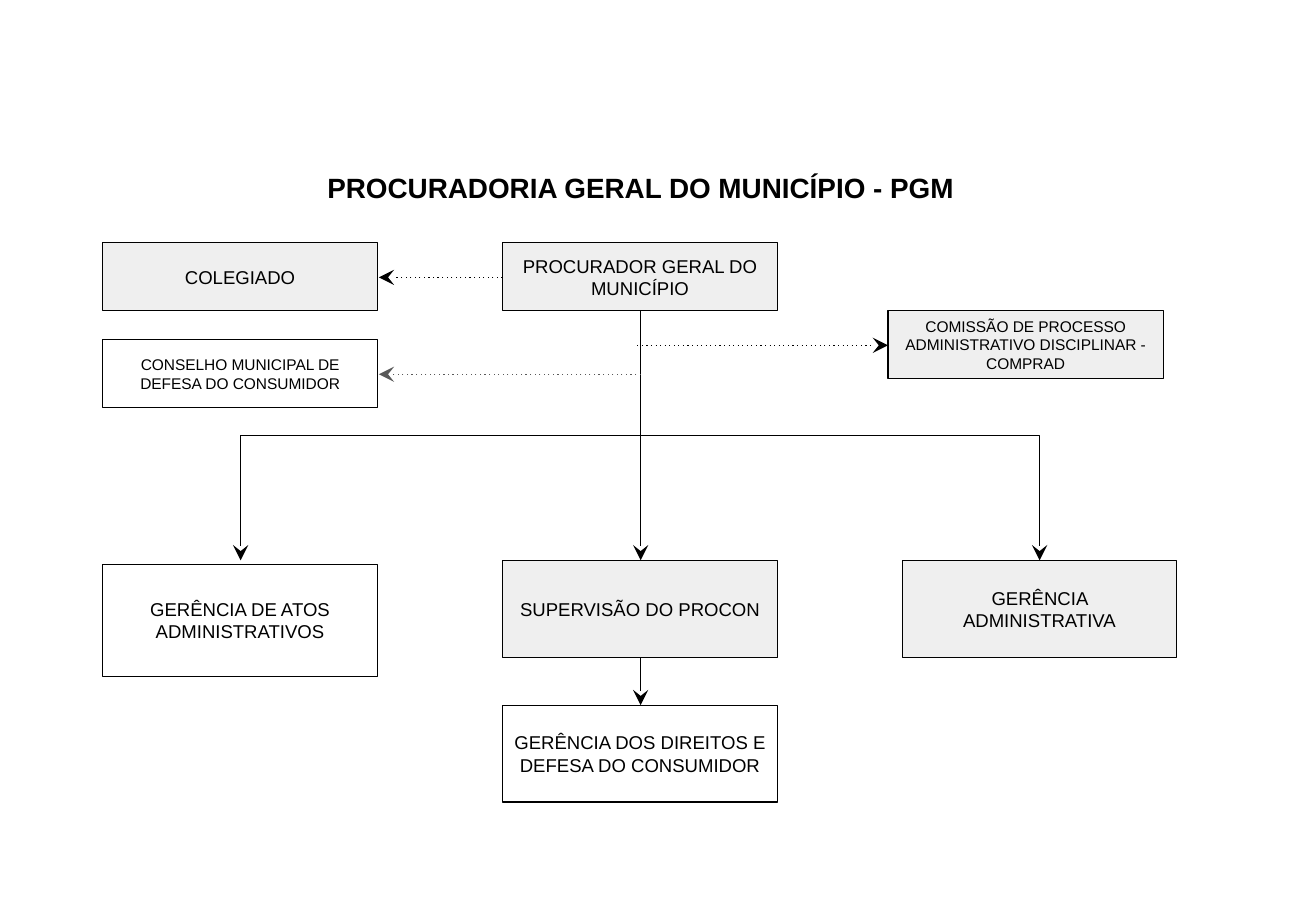
from pptx import Presentation
from pptx.dml.color import RGBColor
from pptx.enum import shapes, text
from pptx.oxml.xmlchemy import OxmlElement
from pptx.util import Inches, Pt

COLORS = {"black": "000000", "gray": "595959", "light": "EFEFEF"}
MM_PER_INCH = 25.4
BOX_W = 2.47
LEFT, MIDDLE, RIGHT = 0.92, 4.51, 8.1
TRUNK = 5.75
TOP, TOP_H, LOW, LOW_H = 2.18, 0.61, 5.03, 0.87

BOXES = [
    ("PROCURADOR GERAL DO MUNICÍPIO", MIDDLE, TOP, TOP_H, 12, "light"),
    ("COLEGIADO", LEFT, TOP, TOP_H, 12, "light"),
    ("COMISSÃO DE PROCESSO ADMINISTRATIVO DISCIPLINAR - COMPRAD",
     7.97, TOP + TOP_H, TOP_H, 10, "light"),
    ("CONSELHO MUNICIPAL DE DEFESA DO CONSUMIDOR", LEFT, 3.05, TOP_H, 10, None),
    ("GERÊNCIA DE ATOS ADMINISTRATIVOS", LEFT, 5.07, 1, 12, None),
    ("SUPERVISÃO DO PROCON", MIDDLE, LOW, LOW_H, 12, "light"),
    ("GERÊNCIA ADMINISTRATIVA", RIGHT, LOW, LOW_H, 12, "light", 2.46),
    ("GERÊNCIA DOS DIREITOS E DEFESA DO CONSUMIDOR", MIDDLE, 6.33, LOW_H, 12, None),
]

ARROWS = [
    (TRUNK, 2.79, TRUNK, LOW, "black", False),
    (TRUNK, 5.9, TRUNK, 6.33, "black", False),
    (MIDDLE, 2.49, 3.4, 2.49, "black", True),
    (5.72, 3.1, 7.97, 3.1, "black", True),
    (TRUNK, 3.36, 3.4, 3.36, "gray", True),
]


def rgb(name):
    """Return the named colour."""
    return RGBColor.from_string(COLORS[name])


def write(s, words, size, bold=False):
    """Fill a shape with one centred paragraph."""
    tf = s.text_frame
    tf.word_wrap = True
    tf.margin_left = tf.margin_right = Inches(0.1)
    tf.margin_top = tf.margin_bottom = Inches(0.1)
    p = tf.paragraphs[0]
    p.alignment = text.PP_ALIGN.CENTER
    r = p.add_run()
    r.text = words
    r.font.name = "Arial"
    r.font.size = Pt(size)
    r.font.bold = bold
    r.font.color.rgb = rgb("black")


def add_title(slide, words):
    """Add the chart title."""
    s = slide.shapes.add_textbox(Inches(0.76), Inches(1.43), Inches(9.98), Inches(0.94))
    write(s, words, 18, True)


def add_box(slide, words, x, y, h, size, fill, w=BOX_W):
    """Add one organisational unit."""
    s = slide.shapes.add_shape(shapes.MSO_SHAPE.RECTANGLE, Inches(x), Inches(y),
                               Inches(w), Inches(h))
    s.shadow.inherit = False
    if fill:
        s.fill.solid()
        s.fill.fore_color.rgb = rgb(fill)
    else:
        s.fill.background()
    s.line.color.rgb = rgb("black")
    s.line.width = Pt(0.75)
    s.text_frame.vertical_anchor = text.MSO_ANCHOR.MIDDLE
    write(s, words, size)


def add_arrow(slide, x1, y1, x2, y2, color="black", dotted=False,
              kind=shapes.MSO_CONNECTOR.STRAIGHT):
    """Add a connector with a stealth arrowhead at its end."""
    s = slide.shapes.add_connector(kind, Inches(x1), Inches(y1), Inches(x2), Inches(y2))
    s.line.color.rgb = rgb(color)
    s.line.width = Pt(0.75)
    ln = s.line._get_or_add_ln()
    if dotted:
        dash = OxmlElement("a:prstDash")
        dash.set("val", "dot")
        ln.append(dash)
    tail = OxmlElement("a:tailEnd")
    tail.set("type", "stealth")
    tail.set("w", "lg")
    tail.set("len", "lg")
    ln.append(tail)
    s._element.spPr.append(OxmlElement("a:effectLst"))
    return s


def add_branch(slide, x1, y1, x2, y2):
    """Add an elbow arrow that leaves and arrives vertically."""
    side = 1 if x2 < x1 else -1
    cx, cy = (x1 + x2) / 2, (y1 + y2) / 2
    dx, dy = side * (y2 - y1) / 2, abs(x2 - x1) / 2
    s = add_arrow(slide, cx - dx, cy - dy, cx + dx, cy + dy,
                  kind=shapes.MSO_CONNECTOR.ELBOW)
    s._element.spPr.xfrm.rot = 90 if side == 1 else 270


def main():
    """Build and save the organisation chart."""
    prs = Presentation()
    prs.slide_width = Inches(300 / MM_PER_INCH)
    prs.slide_height = Inches(210 / MM_PER_INCH)
    slide = prs.slides.add_slide(prs.slide_layouts[6])
    add_title(slide, "PROCURADORIA GERAL DO MUNICÍPIO - PGM")
    for box in BOXES:
        add_box(slide, *box)
    for x in (2.16, 9.33):
        add_branch(slide, TRUNK, 2.79, x, LOW)
    for arrow in ARROWS:
        add_arrow(slide, *arrow)
    prs.save("out.pptx")


if __name__ == "__main__":
    main()
